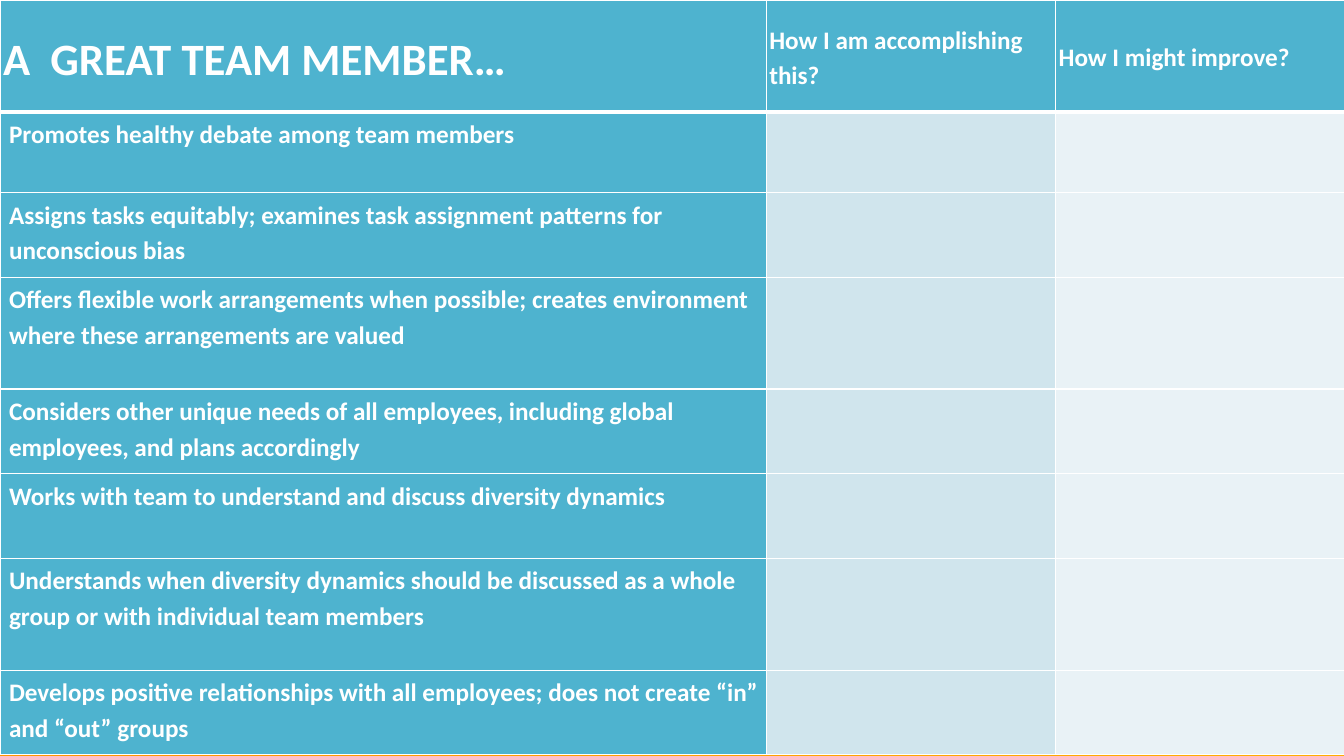
"""Build a team member self-assessment table slide."""
import pptx
import pptx.dml.color
import pptx.enum.text
import pptx.oxml
import pptx.oxml.ns
import pptx.util
from pptx.util import Inches, Pt

HEADERS = ["A  GREAT TEAM MEMBER…", "How I am accomplishing this?", "How I might improve?"]
BEHAVIOURS = [
    "Promotes healthy debate among team members",
    "Assigns tasks equitably; examines task assignment patterns for unconscious bias",
    "Offers flexible work arrangements when possible; creates environment where these arrangements are valued",
    "Considers other unique needs of all employees, including global employees, and plans accordingly",
    "Works with team to understand and discuss diversity dynamics",
    "Understands when diversity dynamics should be discussed as a whole group or with individual team members",
    "Develops positive relationships with all employees; does not create “in” and “out” groups",
]
COL_WIDTHS = [7.6, 2.87, 2.87]
ROW_HEIGHTS = [1.11, 0.8, 0.84, 1.11, 0.84, 0.84, 1.11, 0.84]
HEADER_FILL = "4EB3CF"
BODY_FILLS = [HEADER_FILL, "D0E5ED", "E9F2F6"]
BORDER = "FFFFFF"
BACKGROUND = [(0.08, "FFFF00"), (0.98, "FF9500")]
FONT = {"name": "Calibri", "bold": True}
MARGINS = dict.fromkeys(["margin_left", "margin_right", "margin_top", "margin_bottom"], Inches(0.03))


def rgb(value):
    return pptx.dml.color.RGBColor.from_string(value)


def apply(target, values):
    for name, value in values.items():
        setattr(target, name, value)


def add_borders(cell, top, bottom):
    tc_pr = cell._tc.get_or_add_tcPr()
    sides = {"L": 1, "R": 1, "T": top, "B": bottom}
    for i, (side, width) in enumerate(sides.items()):
        tc_pr.insert(i, pptx.oxml.parse_xml(
            f'<a:ln{side} {pptx.oxml.ns.nsdecls("a")} w="{Pt(width)}"><a:solidFill>'
            f'<a:srgbClr val="{BORDER}"/></a:solidFill></a:ln{side}>'))


def write(cell, text, size, header):
    anchor = pptx.enum.text.MSO_ANCHOR
    apply(cell, MARGINS)
    cell.vertical_anchor = anchor.MIDDLE if header else anchor.TOP
    p = cell.text_frame.paragraphs[0]
    p.line_spacing = 1.15
    if not header:
        p.space_after = Pt(5)
        p._p.get_or_add_pPr().set("marL", str(Inches(0.06)))
    r = p.add_run()
    r.text = text
    apply(r.font, {**FONT, "size": Pt(size)})
    r.font.color.rgb = rgb("FFFFFF")


def main():
    prs = pptx.Presentation()
    prs.slide_width, prs.slide_height = Inches(13.33), Inches(7.5)
    s = prs.slides.add_slide(prs.slide_layouts[6])

    fill = s.background.fill
    fill.gradient()
    fill.gradient_angle = 260
    for stop, (position, color) in zip(fill.gradient_stops, BACKGROUND):
        stop.position = position
        stop.color.rgb = rgb(color)

    rows = [HEADERS] + [[text, "", ""] for text in BEHAVIOURS]
    table = s.shapes.add_table(len(rows), len(HEADERS), 0, 0, Inches(13.33), Inches(7.5)).table
    for column, width in zip(table.columns, COL_WIDTHS):
        column.width = Inches(width)
    for row, height in zip(table.rows, ROW_HEIGHTS):
        row.height = Inches(height)

    for i, row in enumerate(rows):
        header = i == 0
        for j, text in enumerate(row):
            cell = table.cell(i, j)
            cell.fill.solid()
            cell.fill.fore_color.rgb = rgb(HEADER_FILL if header else BODY_FILLS[j])
            add_borders(cell, 3 if i == 1 else 1, 3 if header else 1)
            if text:
                write(cell, text, 32 if header and j == 0 else 18, header)

    prs.save("out.pptx")


if __name__ == "__main__":
    main()
